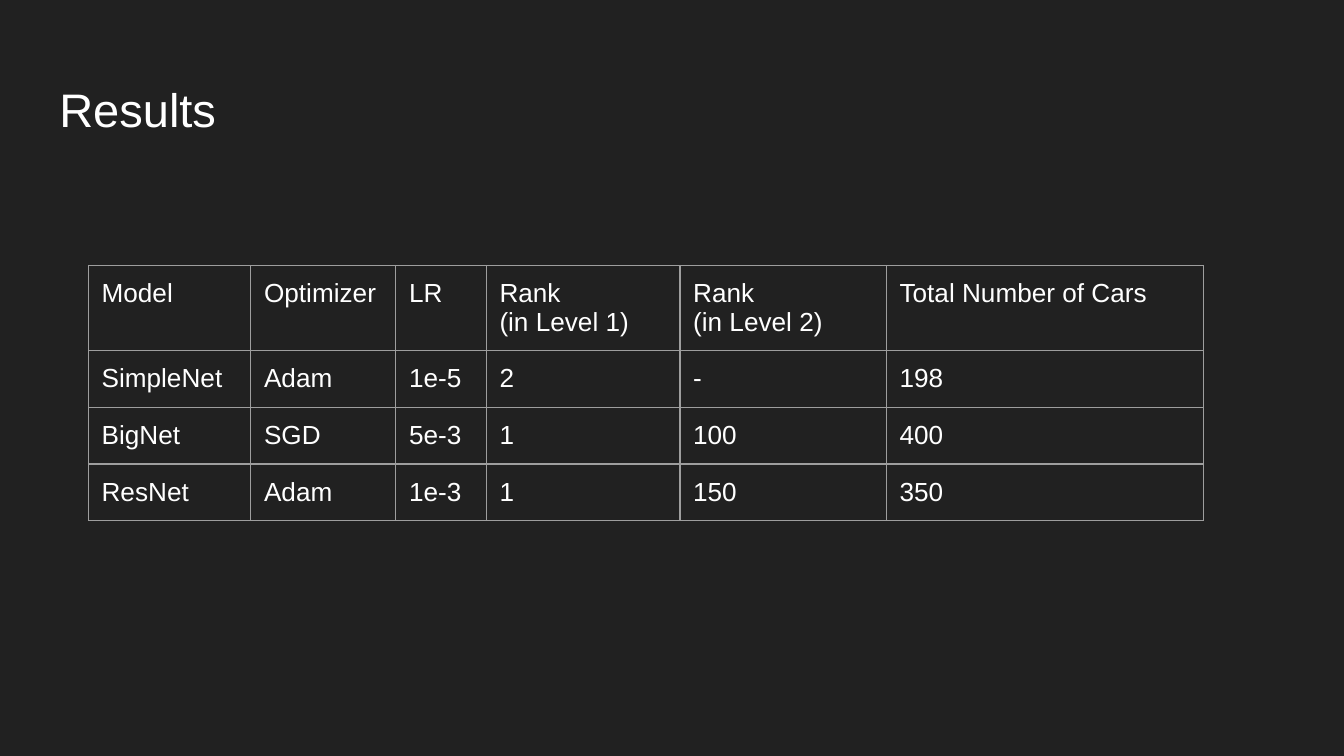
from lxml.etree import SubElement
from pptx import Presentation
from pptx.dml.color import RGBColor
from pptx.enum.text import MSO_ANCHOR, PP_ALIGN
from pptx.oxml import parse_xml
from pptx.oxml.ns import nsdecls, qn
from pptx.util import Cm, Pt

BACKGROUND = RGBColor(0x21, 0x21, 0x21)
TEXT = RGBColor(0xFF, 0xFF, 0xFF)
BORDER = RGBColor(0x9E, 0x9E, 0x9E)
INSET = Cm(0.25)


def style_text(text_frame, size):
    for paragraph in text_frame.paragraphs:
        paragraph.alignment = PP_ALIGN.LEFT
        for run in paragraph.runs:
            run.font.name = "Arial"
            run.font.size = Pt(size)
            run.font.bold = False
            run.font.color.rgb = TEXT


def add_borders(cell):
    properties = cell._tc.get_or_add_tcPr()
    for position, side in enumerate(("lnL", "lnR", "lnT", "lnB")):
        line = parse_xml(f'<a:{side} {nsdecls("a")} w="{Pt(0.75)}"/>')
        fill = SubElement(line, qn("a:solidFill"))
        SubElement(fill, qn("a:srgbClr"), val=str(BORDER))
        properties.insert(position, line)


presentation = Presentation()
presentation.slide_width = Cm(25.4)
presentation.slide_height = Cm(14.29)
slide = presentation.slides.add_slide(presentation.slide_layouts[5])
slide.background.fill.solid()
slide.background.fill.fore_color.rgb = BACKGROUND

title = slide.shapes.title
title.left, title.top, title.width, title.height = Cm(0.87), Cm(1.24), Cm(23.67), Cm(1.6)
title_frame = title.text_frame
title_frame.text = "Results"
title_frame.vertical_anchor = MSO_ANCHOR.BOTTOM
title_frame.margin_left = title_frame.margin_right = INSET
title_frame.margin_top = title_frame.margin_bottom = INSET
style_text(title_frame, 25.2)

results = [
    ["Model", "Optimizer", "LR", "Rank\n(in Level 1)", "Rank\n(in Level 2)", "Total Number of Cars"],
    ["SimpleNet", "Adam", "1e-5", "2", "-", "198"],
    ["BigNet", "SGD", "5e-3", "1", "100", "400"],
    ["ResNet", "Adam", "1e-3", "1", "150", "350"],
]
column_widths = [Cm(3.07), Cm(2.74), Cm(1.71), Cm(3.66), Cm(3.9), Cm(5.99)]
row_heights = [Cm(1.61)] + [Cm(1.07)] * 3

table = slide.shapes.add_table(
    len(results), len(column_widths), Cm(1.67), Cm(5.02), sum(column_widths), sum(row_heights)
).table
table.horz_banding = False
table.first_row = False
for column, width in zip(table.columns, column_widths):
    column.width = width
for row, height, values in zip(table.rows, row_heights, results):
    row.height = height
    for cell, value in zip(row.cells, values):
        cell.text_frame.text = value
        cell.margin_left = cell.margin_right = INSET
        cell.margin_top = cell.margin_bottom = INSET
        cell.vertical_anchor = MSO_ANCHOR.TOP
        cell.fill.background()
        style_text(cell.text_frame, 14)
        add_borders(cell)

presentation.save("out.pptx")
